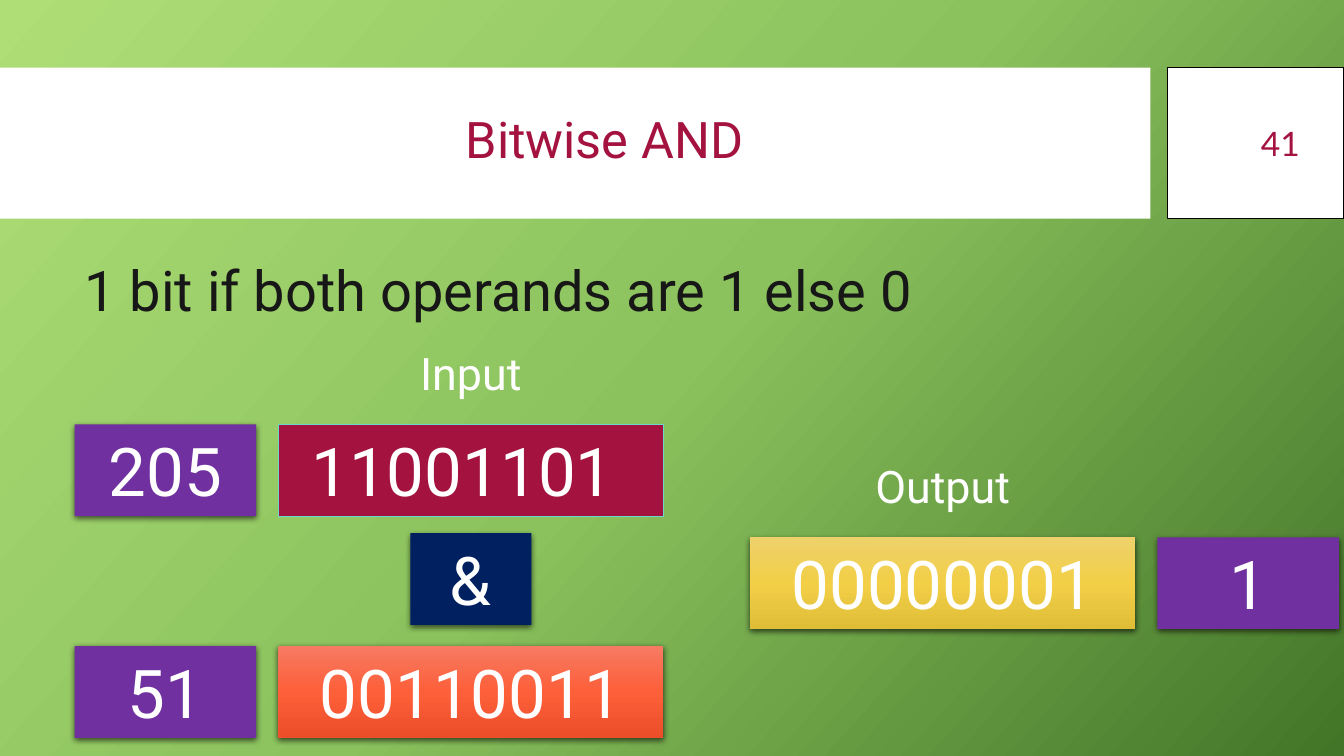
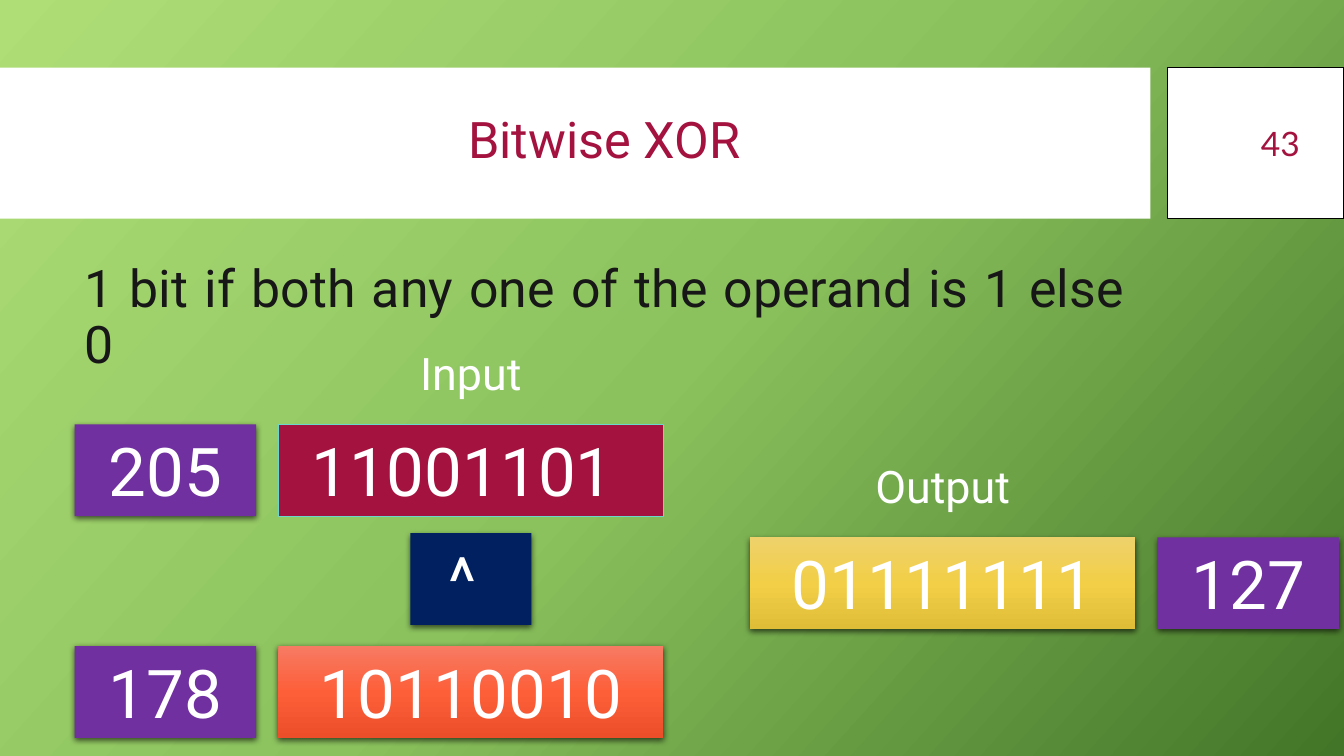
from collections import namedtuple

from lxml import etree
from pptx import Presentation
from pptx.dml.color import RGBColor
from pptx.enum.shapes import MSO_SHAPE
from pptx.enum.text import MSO_ANCHOR, PP_ALIGN
from pptx.oxml.ns import qn
from pptx.util import Inches, Pt

RECTANGLE = MSO_SHAPE.RECTANGLE
TOP, MIDDLE = MSO_ANCHOR.TOP, MSO_ANCHOR.MIDDLE
CENTER, RIGHT, JUSTIFY = PP_ALIGN.CENTER, PP_ALIGN.RIGHT, PP_ALIGN.JUSTIFY

WHITE = RGBColor(0xFF, 0xFF, 0xFF)
BLACK = RGBColor(0x00, 0x00, 0x00)
INK = RGBColor(0x18, 0x17, 0x17)
CRIMSON = RGBColor(0xA4, 0x12, 0x3F)
AQUA = RGBColor(0x6A, 0xD8, 0xCB)
NAVY = RGBColor(0x00, 0x20, 0x60)
PURPLE = RGBColor(0x70, 0x30, 0xA0)
GREENS = (RGBColor(0xAF, 0xDE, 0x77), RGBColor(0x8B, 0xC2, 0x5D), RGBColor(0x43, 0x75, 0x28))
GOLDS = (RGBColor(0xEE, 0xD1, 0x6B), RGBColor(0xF2, 0xCF, 0x47), RGBColor(0xE0, 0xBD, 0x37))
ORANGES = (RGBColor(0xF7, 0x7A, 0x63), RGBColor(0xFD, 0x5F, 0x39), RGBColor(0xEB, 0x4E, 0x29))

Box = namedtuple("Box", "left top width height")
Operation = namedtuple("Operation", "title number rule rule_size symbol inputs output")

SLIDE_WIDTH, SLIDE_HEIGHT = 13.33, 7.5
MARGIN = 0.74
CONTENT_WIDTH = 10.51
DECIMAL_WIDTH, BITS_WIDTH, OPERATOR_WIDTH, LABEL_WIDTH = 1.8, 3.82, 1.2, 1.61
CELL_HEIGHT, LABEL_HEIGHT = 0.91, 0.64
COLUMN_GAP = 0.22
ROW_PITCH = 1.1
LABEL_RISE = 0.83

HEADER = Box(0, 0.67, SLIDE_WIDTH, 1.5)
RULE = Box(MARGIN, 2.56, CONTENT_WIDTH, 1)
INPUT = Box(MARGIN, 4.21, DECIMAL_WIDTH + COLUMN_GAP + BITS_WIDTH, 2 * ROW_PITCH + CELL_HEIGHT)
OUTPUT = Box(7.44, 5.33, BITS_WIDTH + COLUMN_GAP + DECIMAL_WIDTH, CELL_HEIGHT)

TITLE_FORMAT = {"name": "Roboto", "size": Pt(36), "color": CRIMSON}
NUMBER_FORMAT = {"name": "Lato", "size": Pt(24), "color": CRIMSON}
LABEL_FORMAT = {"name": "Roboto", "size": Pt(32), "color": WHITE}
CELL_FORMAT = {"name": "Roboto", "size": Pt(48), "color": WHITE}

OPERATIONS = (
    Operation("Bitwise AND", "41", "1 bit if both operands are 1 else 0", 40, "&",
              (("205", "11001101 "), ("51", "00110011")), ("1", "00000001")),
    Operation("Bitwise XOR", "43", "1 bit if both any one of the operand is 1 else 0", 37, "^ ",
              (("205", "11001101 "), ("178", "10110010")), ("127", "01111111")),
)


def emu(box):
    return [Inches(length) for length in box]


def centered(box, width):
    return box._replace(left=box.left + (box.width - width) / 2, width=width)


def paint(fill, owner, colors, angle=90):
    if isinstance(colors, RGBColor):
        fill.solid()
        fill.fore_color.rgb = colors
        return
    fill.gradient()
    gradient = owner.find(".//" + qn("a:gradFill"))
    stops = gradient.find(qn("a:gsLst"))
    for stop in list(stops):
        stops.remove(stop)
    for index, color in enumerate(colors):
        position = str(index * 100000 // (len(colors) - 1))
        stop = etree.SubElement(stops, qn("a:gs"), pos=position)
        etree.SubElement(stop, qn("a:srgbClr"), val=str(color))
    gradient.find(qn("a:lin")).set("ang", str(angle * 60000))


def cast_shadow(shape):
    effects = shape._element.spPr.find(qn("a:effectLst"))
    shadow = etree.SubElement(effects, qn("a:outerShdw"), blurRad=str(Pt(4.5)),
                              dist=str(Pt(1.5)), dir="5400000", algn="ctr", rotWithShape="0")
    color = etree.SubElement(shadow, qn("a:srgbClr"), val=str(BLACK))
    etree.SubElement(color, qn("a:alpha"), val="63000")


def write(shape, text, font_format, align=CENTER, anchor=TOP, line_spacing=None):
    frame = shape.text_frame
    frame.word_wrap = True
    frame.vertical_anchor = anchor
    paragraph = frame.paragraphs[0]
    paragraph.alignment = align
    paragraph.line_spacing = line_spacing
    run = paragraph.add_run()
    run.text = text
    for attribute, value in font_format.items():
        if attribute == "color":
            run.font.color.rgb = value
        else:
            setattr(run.font, attribute, value)


def add_text(slide, box, text, font_format, **layout):
    write(slide.shapes.add_textbox(*emu(box)), text, font_format, **layout)


def add_block(slide, box, colors, border=None, border_width=1):
    block = slide.shapes.add_shape(RECTANGLE, *emu(box))
    block.shadow.inherit = False
    paint(block.fill, block._element.spPr, colors)
    if border is None:
        block.line.fill.background()
    else:
        block.line.color.rgb = border
        block.line.width = Pt(border_width)
    return block


def add_cell(slide, box, text, colors, border=None):
    cell = add_block(slide, box, colors, border, 0.75)
    if border is None:
        cast_shadow(cell)
    write(cell, text, CELL_FORMAT)


def add_label(slide, bits_box, text):
    label_box = centered(bits_box, LABEL_WIDTH)
    label_box = label_box._replace(top=bits_box.top - LABEL_RISE, height=LABEL_HEIGHT)
    add_text(slide, label_box, text, LABEL_FORMAT)


def add_header(slide, box, title, number):
    title_band = box._replace(width=11.41)
    number_band = box._replace(left=box.left + box.width - 1.75, width=1.75)
    add_block(slide, title_band, WHITE)
    add_block(slide, number_band, WHITE, BLACK)
    text_top = box.top + 0.15
    add_text(slide, Box(MARGIN, text_top, CONTENT_WIDTH, 1.18), title, TITLE_FORMAT,
             anchor=MIDDLE, line_spacing=0.9)
    add_text(slide, Box(number_band.left + 0.15, text_top, 1.26, 1.19), number, NUMBER_FORMAT,
             align=RIGHT, anchor=MIDDLE)


def add_inputs(slide, box, operands, symbol):
    decimal_box = Box(box.left, box.top, DECIMAL_WIDTH, CELL_HEIGHT)
    bits_box = Box(box.left + box.width - BITS_WIDTH, box.top, BITS_WIDTH, CELL_HEIGHT)
    add_label(slide, bits_box, "Input")
    styles = ((CRIMSON, AQUA), (ORANGES, None))
    for row, ((decimal, bits), (colors, border)) in enumerate(zip(operands, styles)):
        top = box.top + 2 * row * ROW_PITCH
        add_cell(slide, decimal_box._replace(top=top), decimal, PURPLE)
        add_cell(slide, bits_box._replace(top=top), bits, colors, border)
    operator_box = centered(bits_box, OPERATOR_WIDTH)._replace(top=box.top + ROW_PITCH - 0.02)
    add_cell(slide, operator_box, symbol, NAVY)


def add_output(slide, box, result):
    decimal, bits = result
    bits_box = box._replace(width=BITS_WIDTH)
    decimal_box = box._replace(left=box.left + box.width - DECIMAL_WIDTH, width=DECIMAL_WIDTH)
    add_label(slide, bits_box, "Output")
    add_cell(slide, bits_box, bits, GOLDS)
    add_cell(slide, decimal_box, decimal, PURPLE)


def add_operation_slide(presentation, operation):
    slide = presentation.slides.add_slide(presentation.slide_layouts[6])
    add_header(slide, HEADER, operation.title, operation.number)
    rule_format = {"name": "Roboto", "size": Pt(operation.rule_size), "color": INK}
    add_text(slide, RULE, operation.rule, rule_format, align=JUSTIFY, line_spacing=0.9)
    add_inputs(slide, INPUT, operation.inputs, operation.symbol)
    add_output(slide, OUTPUT, operation.output)


def main():
    presentation = Presentation()
    presentation.slide_width = Inches(SLIDE_WIDTH)
    presentation.slide_height = Inches(SLIDE_HEIGHT)
    master = presentation.slide_master
    paint(master.background.fill, master._element, GREENS, 42)
    for operation in OPERATIONS:
        add_operation_slide(presentation, operation)
    presentation.save("out.pptx")


if __name__ == "__main__":
    main()
